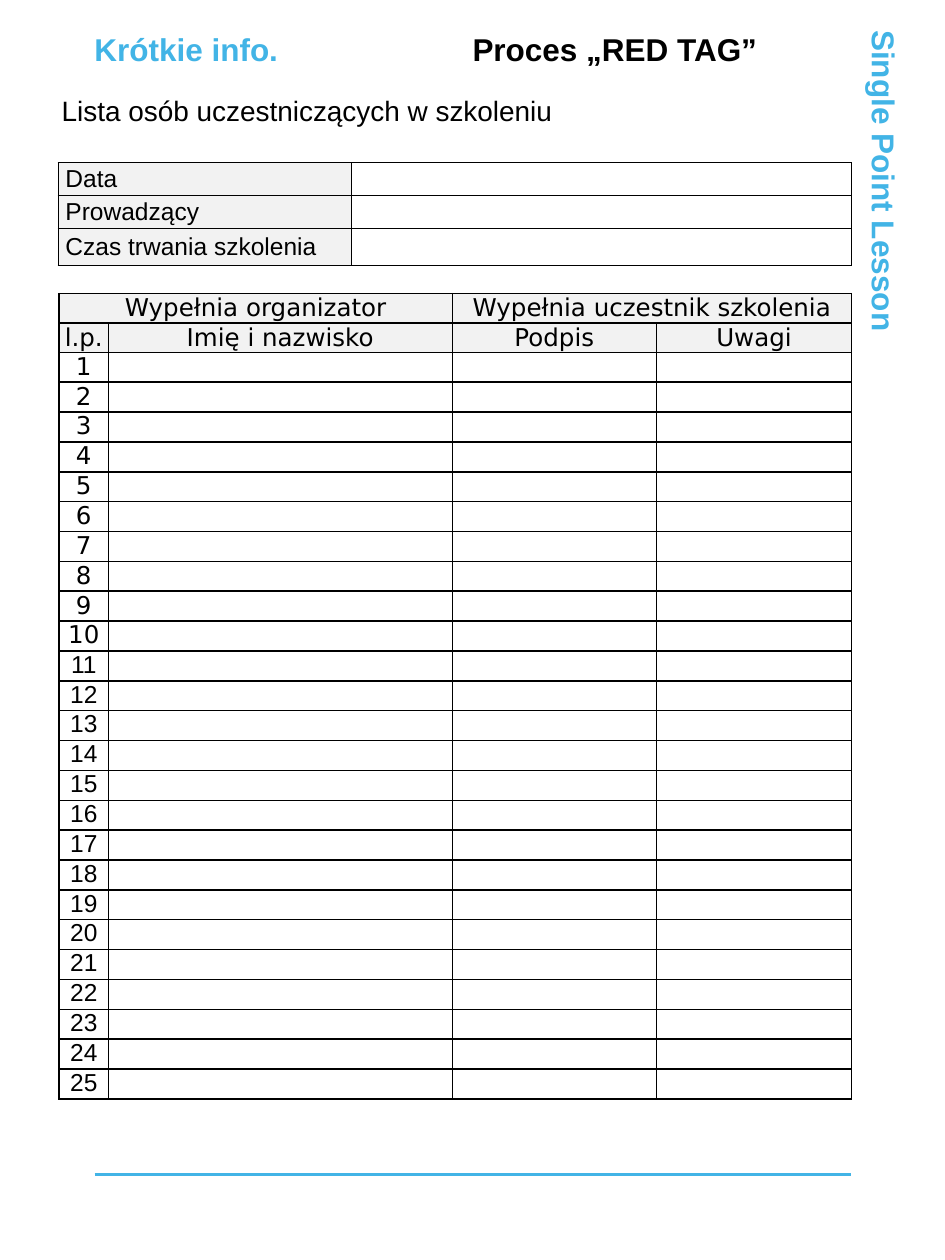
from dataclasses import dataclass

from lxml import etree
from pptx import Presentation
from pptx import util as u
from pptx.dml.color import RGBColor
from pptx.enum import shapes, text
from pptx.oxml.ns import qn


@dataclass(frozen=True)
class Theme:
    blue: str = "42B4E6"
    black: str = "000000"
    white: str = "FFFFFF"
    grey: str = "F2F2F2"
    sans: str = "Arial"
    wide: str = "DejaVu Sans"
    head: int = 18
    lead: int = 16
    cell: int = 14


@dataclass(frozen=True)
class Label:
    words: str
    box: tuple[float, float, float, float]
    size: int
    color: str
    bold: bool = False
    turn: int = 0


@dataclass(frozen=True)
class Grid:
    box: tuple[float, float, float, float]
    cols: tuple[float, ...]
    rows: tuple[float, ...]
    edge: float
    pad: float


T = Theme()
LEFT, MID = text.PP_ALIGN.LEFT, text.PP_ALIGN.CENTER
COUNT = 25

LABELS = (
    Label("Krótkie info.", (0.75, 0.24, 2.76, 0.3), T.head, T.blue, True),
    Label("Single Point Lesson", (4.11, 3, 5.82, 0.3), T.head, T.blue, True, 90),
    Label("Lista osób uczestniczących w szkoleniu", (0.49, 0.74, 6.1, 0.37),
          T.lead, T.black),
)
TITLE = Label("Proces „RED TAG”", (3.75, 0.24, 3, 0.45), T.head, T.black, True)

INFO = Grid((0.46, 1.29, 6.3, 0.83), (2.33, 3.97), (0.26, 0.26, 0.3), 0.5, 0.06)
LIST = Grid((0.47, 2.33, 6.3, 6.3), (0.39, 2.73, 1.62, 1.55),
            (6.3 / (COUNT + 2),) * (COUNT + 2), 1, 0.04)


def style(para, size: int, color: str, face: str = T.sans,
          bold: bool = False, align=LEFT) -> None:
    para.alignment = align
    font = para.font
    font.size, font.name, font.bold = u.Pt(size), face, bold
    font.color.rgb = RGBColor.from_string(color)


def write(shape, label: Label) -> None:
    frame = shape.text_frame
    frame.text = label.words
    frame.word_wrap = True
    frame.auto_size = text.MSO_AUTO_SIZE.NONE
    frame.vertical_anchor = text.MSO_ANCHOR.TOP
    frame.margin_left = frame.margin_right = 0
    frame.margin_top = frame.margin_bottom = 0
    style(frame.paragraphs[0], label.size, label.color, bold=label.bold)


def draw_label(slide, label: Label) -> None:
    box = [u.Inches(v) for v in label.box]
    if label.turn:
        shape = slide.shapes.add_shape(shapes.MSO_SHAPE.RECTANGLE, *box)
        shape.shadow.inherit = False
        shape.fill.solid()
        shape.fill.fore_color.rgb = RGBColor.from_string(T.white)
        shape.line.fill.background()
        shape.rotation = label.turn
    else:
        shape = slide.shapes.add_textbox(*box)
    write(shape, label)


def draw_rule(slide) -> None:
    y = u.Inches(9.32)
    rule = slide.shapes.add_connector(
        shapes.MSO_CONNECTOR.STRAIGHT, u.Inches(0.75), y, u.Inches(6.75), y)
    rule.line.color.rgb = RGBColor.from_string(T.blue)
    rule.line.width = u.Pt(1.5)
    etree.SubElement(rule._element.spPr, qn("a:effectLst"))


def frame_cell(cell, edge: float) -> None:
    props = cell._tc.get_or_add_tcPr()
    for side in ("lnL", "lnR", "lnT", "lnB"):
        line = etree.SubElement(props, qn(f"a:{side}"), w=str(u.Pt(edge)))
        fill = etree.SubElement(line, qn("a:solidFill"))
        etree.SubElement(fill, qn("a:srgbClr"), val=T.black)


def draw_grid(slide, grid: Grid):
    """Add a plain ruled table with empty cells."""
    box = [u.Inches(v) for v in grid.box]
    table = slide.shapes.add_table(len(grid.rows), len(grid.cols), *box).table
    table.first_row = table.horz_banding = False
    for col, width in zip(table.columns, grid.cols):
        col.width = u.Inches(width)
    for row, height in zip(table.rows, grid.rows):
        row.height = u.Inches(height)
    for cell in table.iter_cells():
        frame_cell(cell, grid.edge)
        cell.fill.background()
        cell.margin_left = cell.margin_right = u.Inches(grid.pad)
        cell.margin_top = cell.margin_bottom = 0
        # Keeps blank rows as low as filled ones
        etree.SubElement(cell.text_frame.paragraphs[0]._p,
                         qn("a:endParaRPr"), sz=str(T.cell * 100))
    return table


def fill_cell(cell, words: str, face: str, align, head: bool = True) -> None:
    cell.text = words
    style(cell.text_frame.paragraphs[0], T.cell, T.black, face, align=align)
    if head:
        cell.vertical_anchor = text.MSO_ANCHOR.MIDDLE
        cell.fill.solid()
        cell.fill.fore_color.rgb = RGBColor.from_string(T.grey)


def draw_info(slide) -> None:
    table = draw_grid(slide, INFO)
    for row, words in enumerate(("Data", "Prowadzący", "Czas trwania szkolenia")):
        fill_cell(table.cell(row, 0), words, T.sans, LEFT)


def draw_list(slide) -> None:
    table = draw_grid(slide, LIST)
    # Two heads, each over two columns
    for col, words in ((0, "Wypełnia organizator"),
                       (2, "Wypełnia uczestnik szkolenia")):
        table.cell(0, col).merge(table.cell(0, col + 1))
        fill_cell(table.cell(0, col), words, T.wide, MID)
    for col, words in enumerate(("l.p.", "Imię i nazwisko", "Podpis", "Uwagi")):
        fill_cell(table.cell(1, col), words, T.wide, MID)
    # Numbered rows
    for num in range(1, COUNT + 1):
        face = T.wide if num <= 10 else T.sans
        fill_cell(table.cell(num + 1, 0), str(num), face, MID, head=False)


def main() -> None:
    deck = Presentation()
    deck.slide_width, deck.slide_height = u.Inches(7.5), u.Inches(10)
    slide = deck.slides.add_slide(deck.slide_layouts[5])

    # Title
    title = slide.shapes.title
    title.left, title.top, title.width, title.height = (
        u.Inches(v) for v in TITLE.box)
    write(title, TITLE)

    # Labels and foot rule
    for label in LABELS:
        draw_label(slide, label)
    draw_rule(slide)

    # Tables
    draw_list(slide)
    draw_info(slide)
    deck.save("out.pptx")


if __name__ == "__main__":
    main()
